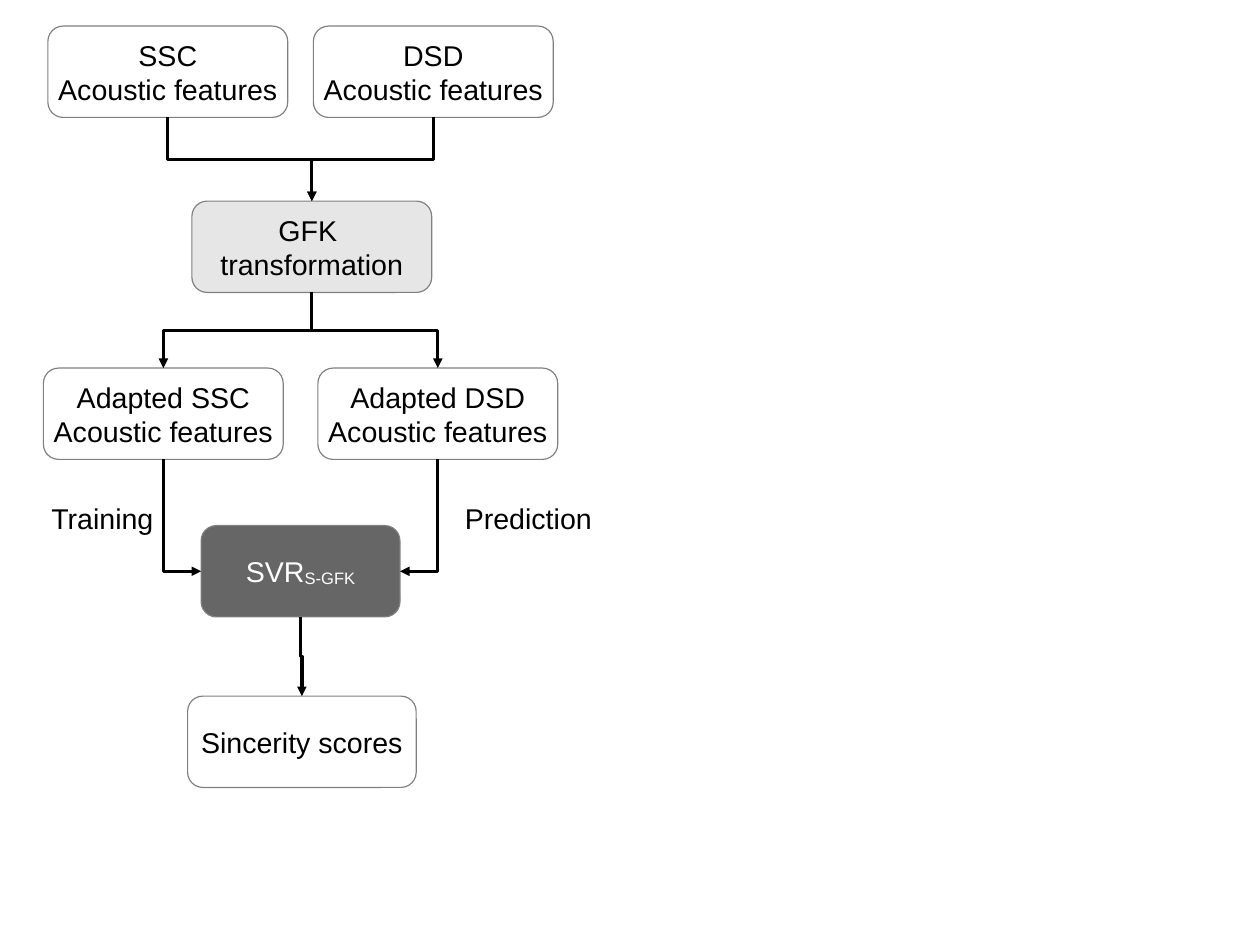
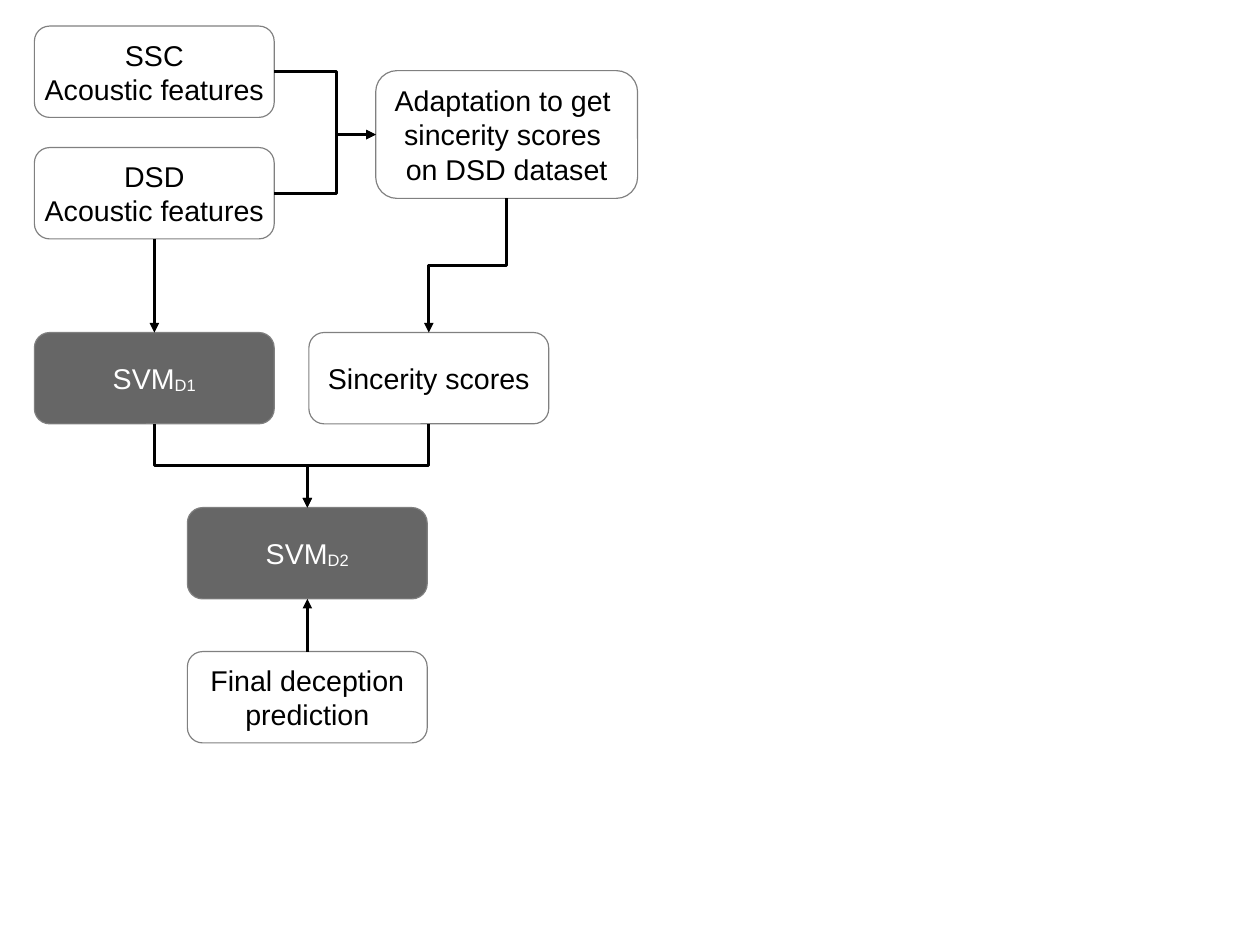
from lxml.etree import SubElement
from pptx import Presentation
from pptx.dml.color import RGBColor
from pptx.enum.shapes import MSO_CONNECTOR, MSO_SHAPE
from pptx.enum.text import MSO_ANCHOR, MSO_AUTO_SIZE, PP_ALIGN
from pptx.oxml.ns import qn
from pptx.util import Cm, Pt

FONT, SIZE = "Arial", 18
BLACK, WHITE, OUTLINE = "000000", "FFFFFF", "808080"
LIGHT, DARK = "E6E6E6", "666666"
BOX_W, BOX_H = 5.33, 2.03
TOP, LEFT, BOTTOM, RIGHT = range(4)  # connection sites of a rounded rectangle


def rgb(value):
    return RGBColor.from_string(value)


def write(tf, text, color=BLACK, align=PP_ALIGN.LEFT, sub=""):
    """Write one paragraph per line; sub is a subscript after the last line."""
    for i, line in enumerate(text.split("\n")):
        p = tf.paragraphs[0] if i == 0 else tf.add_paragraph()
        p.alignment = align
        add_run(p, line, color)
    if sub:
        add_run(p, sub, color, baseline=-8000)


def add_run(p, text, color, baseline=0):
    r = p.add_run()
    r.text = text
    r.font.name, r.font.size = FONT, Pt(SIZE)
    r.font.color.rgb = rgb(color)
    if baseline:
        r.font._element.set("baseline", str(baseline))


def box(s, text, cx, y, w=BOX_W, h=BOX_H, fill=None, **fmt):
    """Draw a rounded box whose horizontal centre is cx."""
    sp = s.shapes.add_shape(MSO_SHAPE.ROUNDED_RECTANGLE,
                            Cm(cx - w / 2), Cm(y), Cm(w), Cm(h))
    sp.shadow.inherit = False
    sp.line.color.rgb = rgb(OUTLINE)
    sp.line.width = Pt(0)
    if fill:
        sp.fill.solid()
        sp.fill.fore_color.rgb = rgb(fill)
    else:
        sp.fill.background()
    tf = sp.text_frame
    tf.word_wrap = False
    tf.vertical_anchor = MSO_ANCHOR.MIDDLE
    write(tf, text, align=PP_ALIGN.CENTER, **fmt)
    return sp


def model(s, name, sub, cx, y, w=BOX_W):
    return box(s, name, cx, y, w, fill=DARK, color=WHITE, sub=sub)


def label(s, text, x, y, w):
    tf = s.shapes.add_textbox(Cm(x), Cm(y), Cm(w), Cm(0.97)).text_frame
    tf.word_wrap = True
    tf.auto_size = MSO_AUTO_SIZE.SHAPE_TO_FIT_TEXT
    write(tf, text)


def site(sp, side):
    """Return the point at the middle of one side of a shape."""
    mid_x, mid_y = sp.left + sp.width // 2, sp.top + sp.height // 2
    return {TOP: (mid_x, sp.top), LEFT: (sp.left, mid_y),
            BOTTOM: (mid_x, sp.top + sp.height),
            RIGHT: (sp.left + sp.width, mid_y)}[side]


def arrow(s, start, end, out=BOTTOM, into=TOP, bend=0.5):
    """Join two shapes: straight if aligned, else with an elbow at bend."""
    (x1, y1), (x2, y2) = site(start, out), site(end, into)
    straight = x1 == x2
    kind = MSO_CONNECTOR.STRAIGHT if straight else MSO_CONNECTOR.ELBOW
    c = s.shapes.add_connector(kind, x1, y1, x2, y2)
    c.begin_connect(start, out)
    c.end_connect(end, into)
    if not straight:
        route(c, x1, y1, x2, y2, out, into, bend)
    c.line.color.rgb = rgb(BLACK)
    c.line.width = Pt(0)
    SubElement(c.line._get_or_add_ln(), qn("a:tailEnd"), type="triangle")
    SubElement(c._element.spPr, qn("a:effectLst"))


def route(c, x1, y1, x2, y2, out, into, bend):
    """Turn an elbow so that it leaves and enters on the chosen sides."""
    geom = c._element.spPr.find(qn("a:prstGeom"))
    if out == BOTTOM and into != TOP:
        geom.set("prst", "bentConnector2")
    else:
        guides = geom.find(qn("a:avLst"))
        SubElement(guides, qn("a:gd"), name="adj1",
                   fmla=f"val {round(bend * 100000)}")
    if out != BOTTOM:
        return
    w, h = abs(y2 - y1), abs(x2 - x1)
    c.left, c.top = (x1 + x2 - w) // 2, (y1 + y2 - h) // 2
    c.width, c.height = w, h
    xfrm = c._element.spPr.find(qn("a:xfrm"))
    for flip in ("flipH", "flipV"):
        xfrm.attrib.pop(flip, None)
    xfrm.set("rot", str((270 if x2 > x1 else 90) * 60000))
    if x2 > x1:
        xfrm.set("flipH", "1")


def training_slide(s):
    dsd = box(s, "DSD\nAcoustic features", 9.63, 0.58)
    ssc = box(s, "SSC\nAcoustic features", 3.73, 0.58)
    adapted_dsd = box(s, "Adapted DSD\nAcoustic features", 9.73, 8.18)
    adapted_ssc = box(s, "Adapted SSC\nAcoustic features", 3.63, 8.18)
    gfk = box(s, "GFK \ntransformation", 6.93, 4.47, fill=LIGHT)
    svr = model(s, "SVR", "S-GFK", 6.68, 11.68, 4.42)
    label(s, "Training", 0.89, 11, 3.05)
    label(s, "Prediction", 10.08, 11, 3.43)
    scores = box(s, "Sincerity scores", 6.71, 15.47, 5.08)
    for source in (ssc, dsd):
        arrow(s, source, gfk)
    for adapted, side in ((adapted_ssc, LEFT), (adapted_dsd, RIGHT)):
        arrow(s, gfk, adapted)
        arrow(s, adapted, svr, into=side)
    arrow(s, svr, scores)


def deception_slide(s):
    dsd = box(s, "DSD\nAcoustic features", 3.43, 3.28)
    svm_d1 = model(s, "SVM", "D1", 3.43, 7.39)
    ssc = box(s, "SSC\nAcoustic features", 3.43, 0.58)
    scores = box(s, "Sincerity scores", 9.53, 7.39)
    svm_d2 = model(s, "SVM", "D2", 6.83, 11.28)
    final = box(s, "Final deception\nprediction", 6.83, 14.48)
    adaptation = box(s, "Adaptation to get \nsincerity scores \non DSD dataset",
                     11.26, 1.57, 5.82, 2.84)
    arrow(s, dsd, svm_d1)
    for source in (dsd, ssc):
        arrow(s, source, adaptation, RIGHT, LEFT, bend=0.61)
    arrow(s, adaptation, scores)
    for source in (svm_d1, scores):
        arrow(s, source, svm_d2)
    arrow(s, final, svm_d2, TOP, BOTTOM)


def main():
    prs = Presentation()
    prs.slide_width, prs.slide_height = Cm(28), Cm(21)
    for build in (training_slide, deception_slide):
        build(prs.slides.add_slide(prs.slide_layouts[6]))
    prs.save("out.pptx")


if __name__ == "__main__":
    main()
